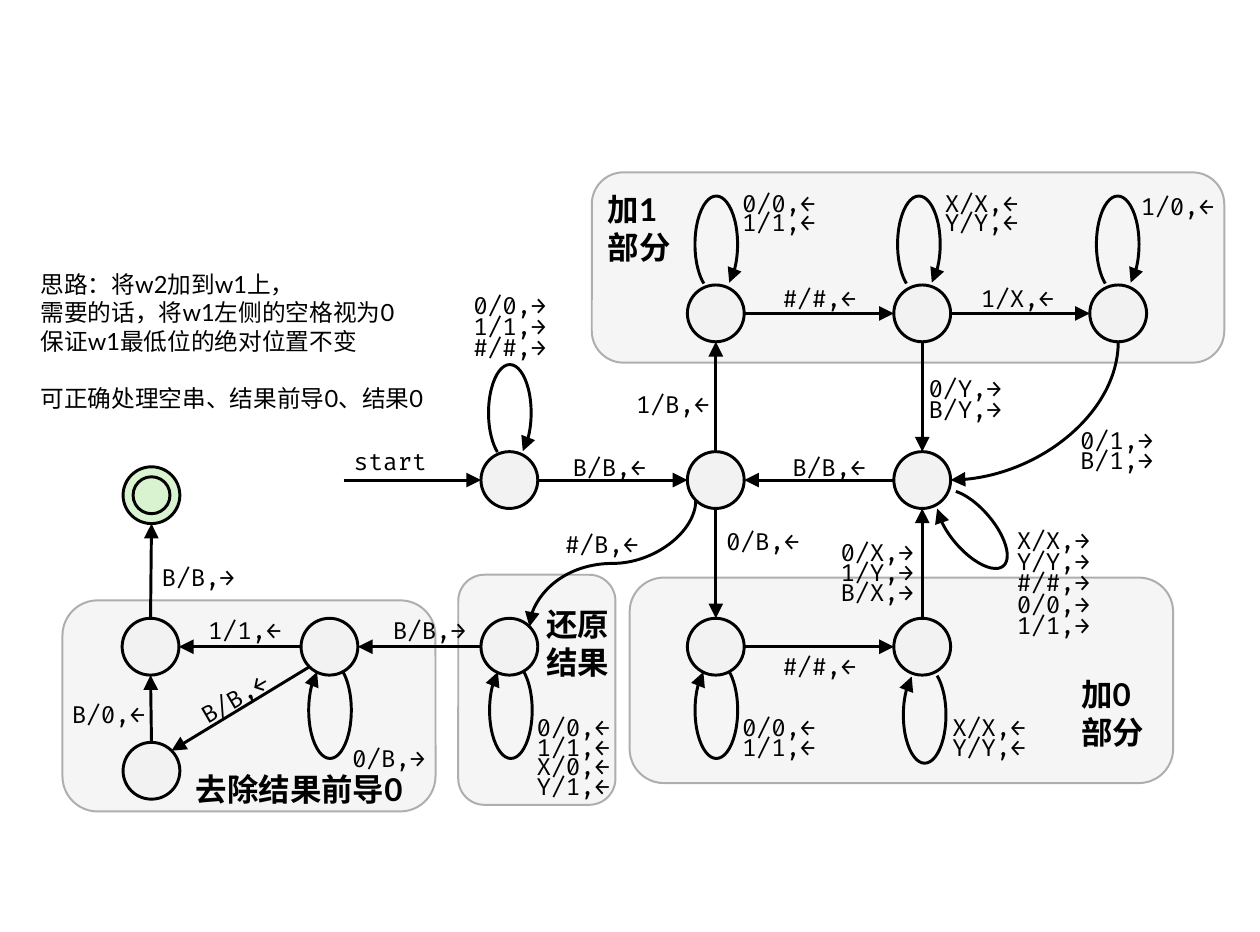
from math import cos, radians, sin

from pptx import Presentation
from pptx.dml.color import RGBColor
from pptx.enum.shapes import MSO_CONNECTOR as Link, MSO_SHAPE as Preset
from pptx.enum.text import MSO_AUTO_SIZE as AutoSize
from pptx.oxml.ns import qn
from pptx.util import Cm, Inches, Pt
from lxml.etree import SubElement

COLORS = {"ink": "000000", "state": "F2F2F2", "accept": "D9F2D0",
          "panel": "D1D1D1", "edge": "AEAEAE"}
CELL = 0.1  # width and height of a grid cell in inches
DIAMETER = 6
LOOP_WIDTH, LOOP_HEIGHT = 4.5, 10.2
SITES = {"E": 0, "SE": 45, "S": 90, "SW": 135, "W": 180, "N": 270, "NE": 315}


def grid(*cells):
    return [Inches(cell * CELL) for cell in cells]


def color(name):
    return RGBColor.from_string(COLORS[name])


def write(box, text, size=18, font="Fira Code", bold=False, last_gap=0):
    """Fill a box with one paragraph per line of text."""
    frame = box.text_frame
    lines = text.split("\n")
    for index, line in enumerate(lines):
        para = frame.add_paragraph() if index else frame.paragraphs[0]
        span = para.add_run()
        span.text = line
        span.font.size, span.font.name, span.font.bold = Pt(size), font, bold
        span.font.color.rgb = color("ink")
    if last_gap:
        para.space_before = Pt(last_gap)


class Diagram:
    def __init__(self, page):
        self.page = page
        self.states = {}

    def outline(self, shape, name="ink", width=2.25, arrow=False):
        shape.line.color.rgb = color(name)
        shape.line.width = Pt(width)
        if arrow:
            SubElement(shape.line._get_or_add_ln(), qn("a:tailEnd"),
                       type="triangle", w="lg", len="lg")

    def panel(self, left, top, width, height):
        shape = self.page.shapes.add_shape(
            Preset.ROUNDED_RECTANGLE, *grid(left, top, width, height))
        shape.shadow.inherit = False
        shape.fill.solid()
        shape.fill.fore_color.rgb = color("panel")
        tint = shape.fill._xPr.find(qn("a:solidFill"))[0]
        SubElement(tint, qn("a:alpha"), val="20000")
        self.outline(shape, "edge", 1.5)

    def circle(self, parent, x, y, diameter, fill):
        shape = parent.shapes.add_shape(
            Preset.OVAL, *grid(x - diameter / 2, y - diameter / 2, diameter, diameter))
        shape.shadow.inherit = False
        shape.fill.solid()
        shape.fill.fore_color.rgb = color(fill)
        self.outline(shape)

    def state(self, name, x, y):
        self.states[name] = x, y
        self.circle(self.page, x, y, DIAMETER, "state")

    def accept_state(self, name, x, y):
        self.states[name] = x, y
        group = self.page.shapes.add_group_shape()
        for diameter in (DIAMETER, 3.9):
            self.circle(group, x, y, diameter, "accept")

    def site(self, name, side):
        x, y = self.states[name]
        angle = radians(SITES[side])
        return x + DIAMETER / 2 * cos(angle), y + DIAMETER / 2 * sin(angle)

    def connect(self, kind, start, end):
        link = self.page.shapes.add_connector(kind, *grid(*start, *end))
        self.outline(link, arrow=True)
        SubElement(link._element.spPr, qn("a:effectLst"))
        return link

    def arrow(self, source, source_side, target, target_side):
        self.connect(Link.STRAIGHT, self.site(source, source_side),
                     self.site(target, target_side))

    def curve(self, source, source_side, target, target_side, preset):
        """Leave downwards and bend left: a curve turned by 90 degrees."""
        (x1, y1), (x2, y2) = self.site(source, source_side), self.site(target, target_side)
        middle_x, middle_y = (x1 + x2) / 2, (y1 + y2) / 2
        half_width, half_height = (y2 - y1) / 2, (x1 - x2) / 2
        link = self.connect(Link.CURVE,
                            (middle_x - half_width, middle_y - half_height),
                            (middle_x + half_width, middle_y + half_height))
        properties = link._element.spPr
        properties.find(qn("a:xfrm")).set("rot", str(90 * 60000))
        properties.find(qn("a:prstGeom")).set("prst", preset)

    def loop(self, left, top, rotation=0):
        arc = self.page.shapes.add_shape(
            Preset.ARC, *grid(left, top, LOOP_WIDTH, LOOP_HEIGHT))
        arc.shadow.inherit = False
        arc.adjustments[0], arc.adjustments[1] = 64.557, 42.784
        arc.rotation = rotation
        arc.fill.background()
        self.outline(arc, arrow=True)

    def text(self, left, top, width, height, text, wrap=False, rotation=0, **style):
        box = self.page.shapes.add_textbox(*grid(left, top, width, height))
        box.rotation = rotation
        box.text_frame.word_wrap = wrap
        box.text_frame.auto_size = AutoSize.SHAPE_TO_FIT_TEXT
        write(box, text, **style)

    def labels(self, left, top, rules, pitch=2.1, rotation=0):
        for index, rule in enumerate(rules.split()):
            self.text(left, top + index * pitch, 9.9, 4, rule, rotation=rotation)

    def heading(self, left, top, width, height, text, wrap=True):
        self.text(left, top, width, height, text, wrap, size=23.9, font="Lato", bold=True)


def main():
    deck = Presentation()
    deck.slide_width, deck.slide_height = Cm(33.8), Cm(25)
    diagram = Diagram(deck.slides.add_slide(deck.slide_layouts[6]))

    # Panels behind the parts of the machine
    for place in ((6.6, 63.4, 39.4, 22.3), (62.5, 18.2, 66.8, 20.1),
                  (48.4, 60.7, 16.6, 24.3), (66.5, 61, 57.4, 21.7)):
        diagram.panel(*place)

    # States
    upper, middle, lower = 33.1, 50.7, 68.3
    for name, x, y in (
            ("start", 53.8, middle), ("read", 75.6, middle), ("return", 97.4, middle),
            ("one", 75.6, upper), ("add", 97.4, upper), ("carry", 118.1, upper),
            ("zero", 75.6, lower), ("keep", 97.4, lower), ("restore", 53.8, lower),
            ("trim", 34.8, lower), ("done", 15.9, lower), ("empty", 16, 81.4)):
        diagram.state(name, x, y)
    diagram.accept_state("accept", 16, 52.3)

    # Transitions between states
    diagram.connect(Link.STRAIGHT, (36.3, middle), diagram.site("start", "W"))
    for ends in (("start", "E", "read", "W"), ("read", "N", "one", "S"),
                 ("return", "W", "read", "E"), ("add", "S", "return", "N"),
                 ("zero", "E", "keep", "W"), ("one", "E", "add", "W"),
                 ("read", "S", "zero", "N"), ("keep", "N", "return", "S"),
                 ("add", "E", "carry", "W"), ("trim", "W", "done", "E"),
                 ("done", "N", "accept", "S"), ("restore", "W", "trim", "E"),
                 ("trim", "SW", "empty", "NE"), ("empty", "N", "done", "S")):
        diagram.arrow(*ends)
    diagram.curve("carry", "S", "return", "E", "curvedConnector2")
    diagram.curve("read", "SW", "restore", "NE", "curvedConnector3")

    # Loops above, beside and below their states
    for place in ((73.4, 20.7), (94.8, 20.7), (115.8, 20.7), (51.6, 38.5),
                  (100.4, 50.8, 139.4), (95.4, 70.4, 180), (73.4, 69.9, 180),
                  (51.7, 69.9, 180), (32.6, 69.9, 180)):
        diagram.loop(*place)

    # Transition rules
    diagram.text(36.4, 46.7, 10.1, 4, "start")
    for label in (
            (82.7, 47.3, "B/B,←"), (66.2, 40.7, "1/B,←"), (75.7, 55.2, "0/B,←"),
            (81.7, 29.5, "#/#,←"), (81.7, 68.3, "#/#,←"), (119.5, 19.8, "1/0,←"),
            (102.6, 29.5, "1/X,←"), (58.7, 55.5, "#/B,←"), (59.5, 47.3, "B/B,←"),
            (36.2, 78.1, "0/B,→"), (21, 64.5, "1/1,←"), (16.1, 59, "B/B,→"),
            (40.5, 64.6, "B/B,→"), (6.6, 73.4, "B/0,←"),
            (77.4, 19.5, "0/0,← 1/1,←", 2), (98.8, 19.5, "X/X,← Y/Y,←", 2),
            (77.4, 74.8, "0/0,← 1/1,←"), (99.6, 74.8, "X/X,← Y/Y,←"),
            (113.1, 44.5, "0/1,→ B/1,→"), (97.1, 39, "0/Y,→ B/Y,→", 2.2),
            (87.8, 56.3, "0/X,→ 1/Y,→ B/X,→"),
            (49, 30.2, "0/0,→ 1/1,→ #/#,→", 2.25),
            (55.7, 74.8, "0/0,← 1/1,← X/0,← Y/1,←", 2.07),
            (106.4, 55, "X/X,→ Y/Y,→ #/#,→ 0/0,→ 1/1,→", 2.25)):
        diagram.labels(*label)
    diagram.labels(19.9, 71.7, "B/B,←", rotation=-30.2)

    # Idea and part names
    diagram.text(3.3, 28, 42.5, 16.1,
                 "思路：将w2加到w1上，\n需要的话，将w1左侧的空格视为0\n"
                 "保证w1最低位的绝对位置不变\n可正确处理空串、结果前导0、结果0",
                 wrap=True, font="Lato", last_gap=21.6)
    diagram.heading(63.2, 19.6, 8.7, 9.1, "加1\n部分")
    diagram.heading(113.2, 70.8, 8.7, 9.1, "加0\n部分")
    diagram.heading(56.7, 63.4, 8.7, 9.1, "还原\n结果")
    diagram.heading(19.7, 80.8, 24.7, 5, "去除结果前导0", wrap=False)

    deck.save("out.pptx")


if __name__ == "__main__":
    main()
